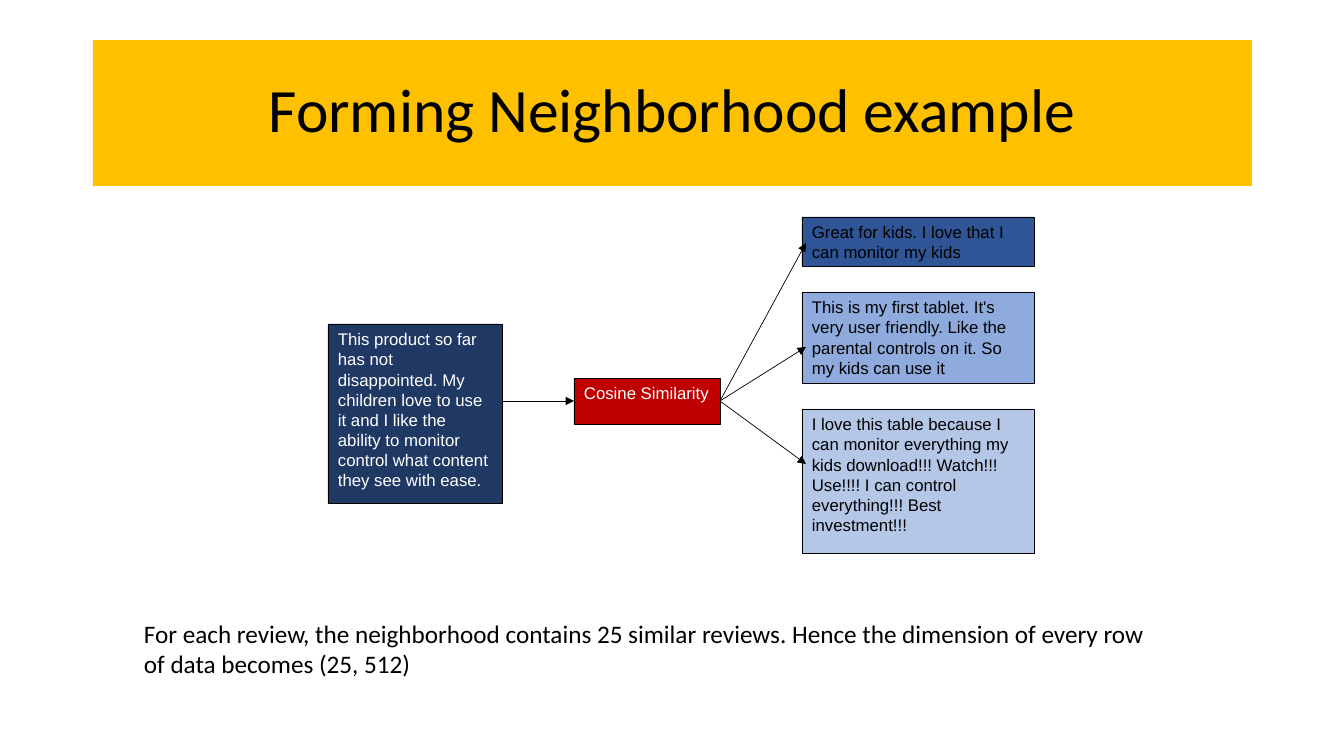
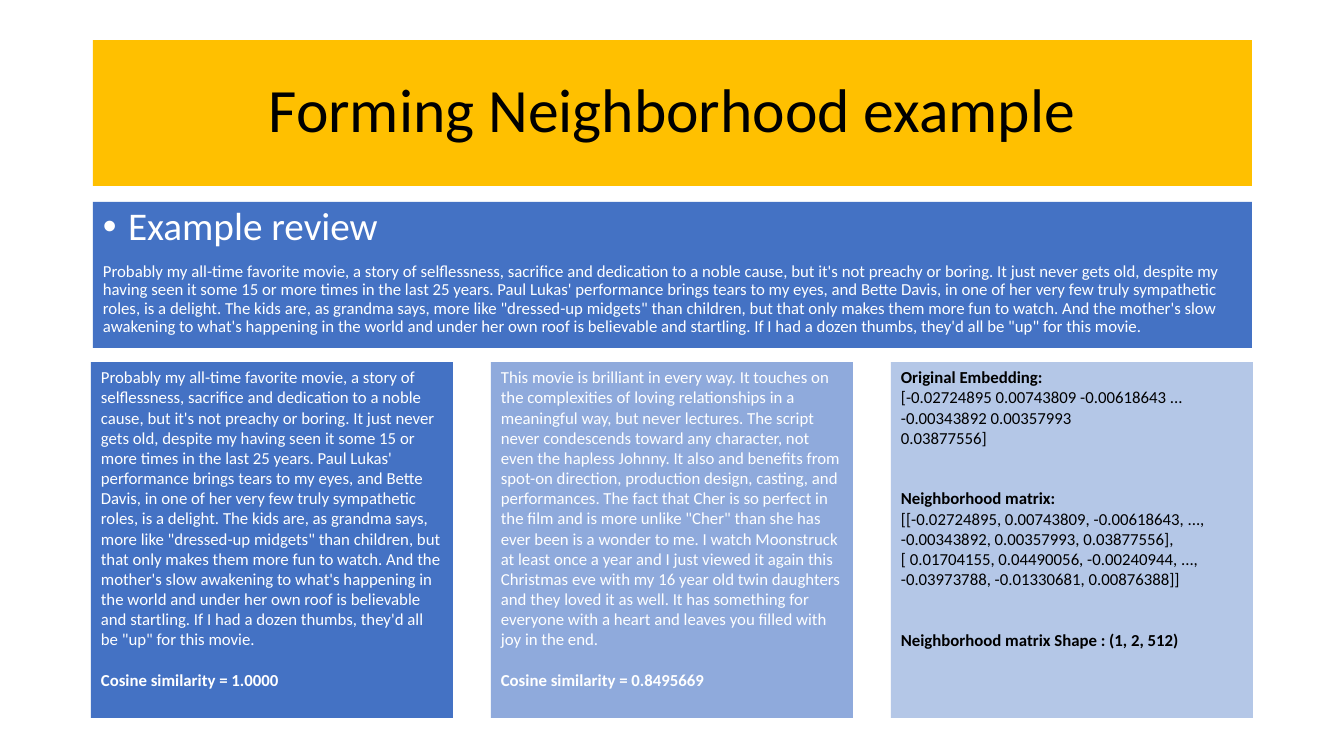
from lxml import etree
from pptx import Presentation
from pptx import util as u
from pptx.dml.color import RGBColor
from pptx.enum import shapes, text
from pptx.oxml import ns

PX = 12192000 / 1344
COLORS = {
    "black": "000000", "white": "FFFFFF", "gold": "FFC000", "red": "C00000",
    "navy": "203864", "deep": "2F5597", "blue": "4472C4", "mid": "8FAADC", "pale": "B4C7E7",
}
TITLE = "Forming Neighborhood example"
QUERY = (
    "This product so far has not disappointed. My children love to use it and I like "
    "the ability to monitor control what content they see with ease."
)
NEIGHBORS = [
    (217, 49, "deep", 243, "Great for kids. I love that I can monitor my kids"),
    (292, 91, "mid", 347, "This is my first tablet. It's very user friendly. Like the parental "
     "controls on it. So my kids can use it"),
    (409, 144, "pale", 464, "I love this table because I can monitor everything my kids download!!! "
     "Watch!!! Use!!!! I can control everything!!! Best investment!!!"),
]
REVIEW = (
    "Probably my all-time favorite movie, a story of selflessness, sacrifice and dedication to a "
    "noble cause, but it's not preachy or boring. It just never gets old, despite my having seen it "
    "some 15 or more times in the last 25 years. Paul Lukas' performance brings tears to my eyes, and "
    "Bette Davis, in one of her very few truly sympathetic roles, is a delight. The kids are, as "
    "grandma says, more like \"dressed-up midgets\" than children, but that only makes them more fun "
    "to watch. And the mother's slow awakening to what's happening in the world and under her own roof "
    "is believable and startling. If I had a dozen thumbs, they'd all be \"up\" for this movie."
)
NEIGHBOR_REVIEW = [
    "This movie is brilliant in every way. It touches on the complexities of loving relationships in a "
    "meaningful way, but never lectures. The script never condescends toward any character, not even "
    "the hapless Johnny. It also and benefits from spot-on direction, production design, casting, and "
    "performances. The fact that Cher is so perfect in",
    "the film and is more unlike \"Cher\" than she has ever been is a wonder to me. I watch Moonstruck "
    "at least once a year and I just viewed it again this Christmas eve with my 16 year old twin "
    "daughters and they loved it as well. It has something for everyone with a heart and leaves you "
    "filled with joy in the end.",
]
SCORE = {"bold": True, "before": 14.5}
HEADING = {"bold": True, "before": 29}
COLUMNS = [
    ("blue", "white", [REVIEW, ("Cosine similarity = 1.0000", SCORE)]),
    ("mid", "white", [*NEIGHBOR_REVIEW, ("Cosine similarity = 0.8495669", SCORE)]),
    ("pale", "black", [
        ("Original Embedding:", {"bold": True}),
        "[-0.02724895 0.00743809 -0.00618643 ... -0.00343892 0.00357993",
        "0.03877556]",
        ("Neighborhood matrix:", HEADING),
        "[[-0.02724895, 0.00743809, -0.00618643, ..., -0.00343892, 0.00357993, 0.03877556],",
        "[ 0.01704155, 0.04490056, -0.00240944, ..., -0.03973788, -0.01330681, 0.00876388]]",
        ("Neighborhood matrix Shape : (1, 2, 512)", HEADING),
    ]),
]


def px(*lengths):
    return [u.Emu(round(length * PX)) for length in lengths]


class Deck:
    """Hold the shared style and the current slide."""

    def __init__(self):
        self.prs = Presentation()
        self.prs.slide_width, self.prs.slide_height = px(1344, 756)

    def color(self, name):
        return RGBColor.from_string(COLORS[name])

    def new_slide(self, title):
        self.slide = self.prs.slides.add_slide(self.prs.slide_layouts[6])
        band = self.panel(93, 40, 1159, 146, "gold", [title], size=44, spacing=0.9)
        band.text_frame.vertical_anchor = text.MSO_ANCHOR.MIDDLE
        band.text_frame.paragraphs[0].alignment = text.PP_ALIGN.CENTER

    def fill_text(self, frame, lines, **style):
        for index, line in enumerate(lines):
            words, changes = (line, {}) if isinstance(line, str) else line
            paragraph = frame.paragraphs[0] if index == 0 else frame.add_paragraph()
            self.paragraph(paragraph, words, **{**style, **changes})

    def paragraph(self, paragraph, words, ink="black", size=12, font="Calibri",
                  bold=False, before=0, spacing=1.0, bullet=False):
        if bullet:
            props = paragraph._p.get_or_add_pPr()
            props.set("marL", "228600")
            props.set("indent", "-228600")
            etree.SubElement(props, ns.qn("a:buFont")).set("typeface", "Arial")
            etree.SubElement(props, ns.qn("a:buChar")).set("char", "•")
        paragraph.text = words
        paragraph.alignment = text.PP_ALIGN.LEFT
        paragraph.line_spacing = spacing
        paragraph.space_before = u.Pt(before)
        paragraph.font.name = font
        paragraph.font.size = u.Pt(size)
        paragraph.font.bold = bold
        paragraph.font.color.rgb = self.color(ink)

    def panel(self, left, top, width, height, fill, lines, outlined=False, **style):
        panel = self.slide.shapes.add_shape(
            shapes.MSO_SHAPE.RECTANGLE, *px(left, top, width, height))
        panel.shadow.inherit = False
        panel.fill.solid()
        panel.fill.fore_color.rgb = self.color(fill)
        if outlined:
            panel.line.color.rgb = self.color("black")
            panel.line.width = u.Pt(0.5)
        else:
            panel.line.fill.background()
        panel.text_frame.word_wrap = True
        panel.text_frame.vertical_anchor = text.MSO_ANCHOR.TOP
        self.fill_text(panel.text_frame, lines, **style)
        return panel

    def node(self, left, top, width, height, fill, words, ink="black"):
        return self.panel(left, top, width, height, fill, [words],
                          outlined=True, ink=ink, font="Arial")

    def caption(self, left, top, width, height, lines, **style):
        caption = self.slide.shapes.add_textbox(*px(left, top, width, height))
        caption.text_frame.word_wrap = True
        self.fill_text(caption.text_frame, lines, **style)

    def arrow(self, x1, y1, x2, y2):
        arrow = self.slide.shapes.add_connector(
            shapes.MSO_CONNECTOR.STRAIGHT, *px(x1, y1, x2, y2))
        arrow.line.color.rgb = self.color("black")
        arrow.line.width = u.Pt(0.5)
        line = arrow._element.spPr.find(ns.qn("a:ln"))
        etree.SubElement(line, ns.qn("a:tailEnd")).set("type", "triangle")
        etree.SubElement(arrow._element.spPr, ns.qn("a:effectLst"))
        return arrow


def similarity_slide(deck):
    deck.new_slide(TITLE)
    deck.node(328, 324, 174, 179, "navy", QUERY, ink="white")
    similarity = deck.node(574, 378, 146, 46, "red", "Cosine Similarity", ink="white")
    deck.arrow(502, 401, 574, 401).end_connect(similarity, 1)
    for top, height, fill, _, words in NEIGHBORS:
        deck.node(802, top, 232, height, fill, words)
    for _, _, _, target, _ in NEIGHBORS:
        deck.arrow(720, 401, 806, target).begin_connect(similarity, 3)
    deck.caption(134, 613, 1038, 72, [
        "For each review, the neighborhood contains 25 similar reviews. "
        "Hence the dimension of every row",
        "of data becomes (25, 512)",
    ], size=18)


def matrix_slide(deck):
    deck.new_slide(TITLE)
    deck.panel(93, 202, 1159, 146, "blue", [
        ("Example review", {"size": 28, "bullet": True}),
        (REVIEW, {"before": 10}),
    ], ink="white", spacing=0.9)
    for index, (fill, ink, lines) in enumerate(COLUMNS):
        deck.panel(91 + 400 * index, 362, 362, 356, fill, lines, ink=ink)


def main():
    deck = Deck()
    similarity_slide(deck)
    matrix_slide(deck)
    deck.prs.save("out.pptx")


if __name__ == "__main__":
    main()
